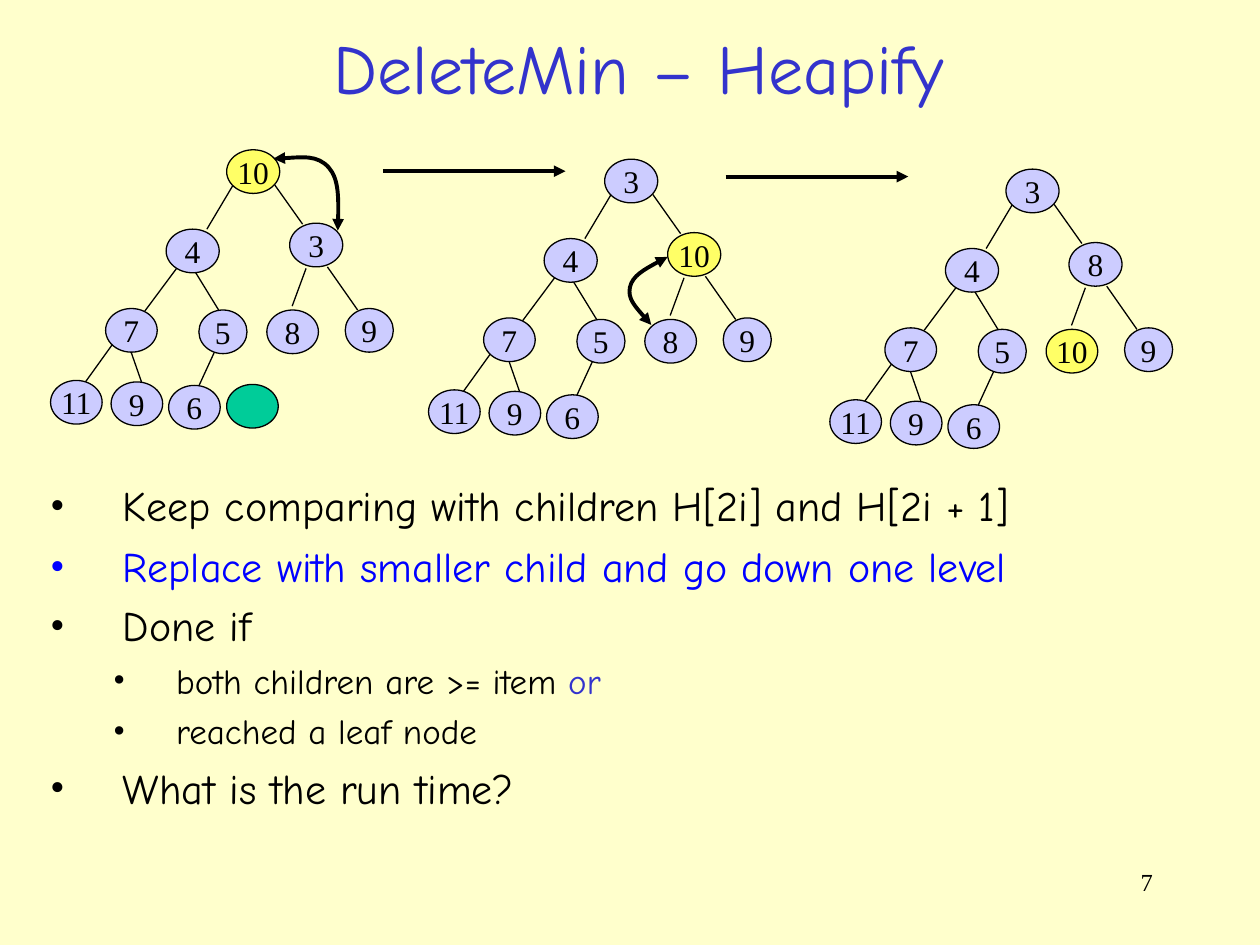
from typing import Any, NamedTuple

import pptx
import pptx.dml.color
import pptx.enum.shapes
import pptx.enum.text
import pptx.oxml.ns
import pptx.oxml.xmlchemy
import pptx.util
from lxml import etree

Cm = pptx.util.Cm
Pt = pptx.util.Pt
RGBColor = pptx.dml.color.RGBColor
Align = pptx.enum.text.PP_ALIGN
Anchor = pptx.enum.text.MSO_ANCHOR
qn = pptx.oxml.ns.qn

BLACK = RGBColor(0x00, 0x00, 0x00)
CREAM = RGBColor(0xFF, 0xFF, 0xCC)
LILAC = RGBColor(0xCC, 0xCC, 0xFF)
YELLOW = RGBColor(0xFF, 0xFF, 0x66)
GREEN = RGBColor(0x00, 0xCC, 0x99)
INDIGO = RGBColor(0x33, 0x33, 0xCC)
BLUE = RGBColor(0x00, 0x00, 0xFF)

SANS = "Comic Neue"
SERIF = "Times New Roman"
THIN, THICK = 0.75, 2.25


class Spot(NamedTuple):
    left: float
    top: float
    width: float


class Heap(NamedTuple):
    dx: float
    dy: float
    keys: list[str]
    hot: int


class Point(NamedTuple):
    level: int
    before: int
    runs: list[tuple[str, RGBColor]]


# Node places and edges of the first tree, in centimetres, in heap order.
NODE_H = 0.88
SPOTS = [
    Spot(4.57, 3.02, 1.07),
    Spot(3.35, 4.62, 1.07), Spot(5.84, 4.5, 1.07),
    Spot(2.13, 6.22, 1.04), Spot(4.01, 6.25, 0.97),
    Spot(5.38, 6.25, 1.04), Spot(6.96, 6.22, 0.97),
    Spot(1.02, 7.67, 1.04), Spot(2.24, 7.7, 1.04), Spot(3.4, 7.77, 1.04),
]
HOLE = Spot(4.57, 7.75, 1.04)
EDGES = [
    (4.7, 3.73, 4.17, 4.62), (5.54, 3.73, 6.1, 4.52),
    (3.56, 5.41, 2.92, 6.27), (3.91, 5.44, 4.42, 6.27),
    (6.17, 5.41, 5.89, 6.17), (6.6, 5.38, 7.21, 6.25),
    (2.29, 6.91, 1.65, 7.8), (2.64, 7.09, 2.87, 7.75),
    (4.34, 7.06, 3.99, 7.82),
]
HEAPS = [
    Heap(0, 0, "10 4 3 7 5 8 9 11 9 6".split(), 0),
    Heap(7.62, 0.19, "3 4 10 7 5 8 9 11 9 6".split(), 2),
    Heap(15.71, 0.39, "3 4 8 7 5 10 9 11 9 6".split(), 5),
]
STEPS = [(7.72, 3.45, 11.4, 3.45), (14.63, 3.56, 18.31, 3.56)]
# Each swap is a start point followed by two cubic segments.
SWAPS = [
    [(5.51, 3.2), (5.97, 3.18), (6.4, 3.12), (6.63, 3.38),
     (6.83, 3.61), (6.83, 4.11), (6.81, 4.65)],
    [(13.46, 5.18), (13.11, 5.36), (12.75, 5.56), (12.7, 5.79),
     (12.65, 6.02), (12.88, 6.27), (13.13, 6.55)],
]
POINTS = [
    Point(0, 6, [("Keep comparing with children H[2i] and H[2i + 1]", BLACK)]),
    Point(0, 6, [("Replace with smaller child and go down one level", BLUE)]),
    Point(0, 5, [("Done if", BLACK)]),
    Point(1, 5, [("both children are >= item ", BLACK), ("or", INDIGO)]),
    Point(1, 5, [("reached a leaf node", BLACK)]),
    Point(0, 6, [("What is the run time?", BLACK)]),
]
SIZES = [24, 20]
INDENTS = [(1.47, -1.47), (2.54, -1.27)]


def put(obj: Any, vals: dict[str, Any]) -> None:
    for name, val in vals.items():
        setattr(obj, name, val)


def write(para: Any, text: str, size: float, face: str, hue: RGBColor) -> None:
    run = para.add_run()
    run.text = text
    put(run.font, {"size": Pt(size), "name": face})
    run.font.color.rgb = hue


def add_box(slide: Any, box: tuple[float, ...], anchor: Any = Anchor.TOP) -> Any:
    frame = slide.shapes.add_textbox(*map(Cm, box)).text_frame
    put(frame, {"word_wrap": True, "vertical_anchor": anchor})
    return frame


def ink(shape: Any, width: float, ends: tuple[str, ...] = ()) -> None:
    """Black outline, with arrowheads at the named ends."""
    shape.line.color.rgb = BLACK
    shape.line.width = Pt(width)
    line = shape._element.spPr.find(qn("a:ln"))
    for end in ends:
        etree.SubElement(line, qn(f"a:{end}"), type="triangle")


def add_line(slide: Any, ends: tuple[float, ...], width: float,
             heads: tuple[str, ...] = ()) -> None:
    kind = pptx.enum.shapes.MSO_CONNECTOR.STRAIGHT
    line = slide.shapes.add_connector(kind, *map(Cm, ends))
    ink(line, width, heads)
    etree.SubElement(line._element.spPr, qn("a:effectLst"))


def add_node(slide: Any, spot: Spot, hue: RGBColor, key: str = "") -> None:
    kind = pptx.enum.shapes.MSO_SHAPE.OVAL
    node = slide.shapes.add_shape(kind, *map(Cm, (*spot, NODE_H)))
    node.shadow.inherit = False
    node.fill.solid()
    node.fill.fore_color.rgb = hue
    ink(node, THIN)
    if key:
        frame = node.text_frame
        put(frame, {"word_wrap": False, "vertical_anchor": Anchor.MIDDLE})
        frame.paragraphs[0].alignment = Align.CENTER
        write(frame.paragraphs[0], key, 18, SERIF, BLACK)


def add_heap(slide: Any, heap: Heap) -> None:
    dx, dy = heap.dx, heap.dy
    for x1, y1, x2, y2 in EDGES:
        add_line(slide, (x1 + dx, y1 + dy, x2 + dx, y2 + dy), THIN)
    for i, (spot, key) in enumerate(zip(SPOTS, heap.keys)):
        place = Spot(spot.left + dx, spot.top + dy, spot.width)
        add_node(slide, place, YELLOW if i == heap.hot else LILAC, key)


def add_swap(slide: Any, dots: list[tuple[float, float]]) -> None:
    """Double-headed curve: each three line steps become one cubic."""
    pairs = [(Cm(x), Cm(y)) for x, y in dots]
    pen = slide.shapes.build_freeform(*pairs[0])
    pen.add_line_segments(pairs[1:], close=False)
    curve = pen.convert_to_shape()
    curve.shadow.inherit = False
    curve.fill.background()
    ink(curve, THICK, ("headEnd", "tailEnd"))
    legs = curve._element.xpath(".//a:lnTo")
    for i in range(0, len(legs), 3):
        legs[i].tag = qn("a:cubicBezTo")
        for leg in legs[i + 1:i + 3]:
            legs[i].append(leg[0])
            leg.getparent().remove(leg)


def add_point(para: Any, point: Point) -> None:
    put(para, {"level": point.level, "space_before": Pt(point.before)})
    left, hang = INDENTS[point.level]
    props = para._p.get_or_add_pPr()
    props.set("marL", str(Cm(left)))
    props.set("indent", str(Cm(hang)))
    tint = etree.SubElement(props, qn("a:buClr"))
    etree.SubElement(tint, qn("a:srgbClr"), val=str(point.runs[0][1]))
    etree.SubElement(props, qn("a:buFont"), typeface=SERIF)
    etree.SubElement(props, qn("a:buChar"), char="•")
    for text, hue in point.runs:
        write(para, text, SIZES[point.level], SANS, hue)


def main() -> None:
    deck = pptx.Presentation()
    put(deck, {"slide_width": Cm(25.4), "slide_height": Cm(19.05)})
    slide = deck.slides.add_slide(deck.slide_layouts[6])
    slide.background.fill.solid()
    slide.background.fill.fore_color.rgb = CREAM

    title = add_box(slide, (0.76, 0.38, 24.23, 1.93), Anchor.MIDDLE).paragraphs[0]
    title.alignment = Align.CENTER
    write(title, "DeleteMin – Heapify", 40, SANS, INDIGO)

    for heap in HEAPS:
        add_heap(slide, heap)
    add_node(slide, HOLE, GREEN)
    for dots in SWAPS:
        add_swap(slide, dots)
    for ends in STEPS:
        add_line(slide, ends, THICK, ("tailEnd",))

    body = add_box(slide, (0.76, 9.55, 23.88, 7.11))
    for i, point in enumerate(POINTS):
        add_point(body.add_paragraph() if i else body.paragraphs[0], point)

    number = add_box(slide, (18.21, 17.35, 5.28, 1.27)).paragraphs[0]
    number.alignment = Align.RIGHT
    write(number, "7", 14, SERIF, BLACK)
    deck.save("out.pptx")


if __name__ == "__main__":
    main()
